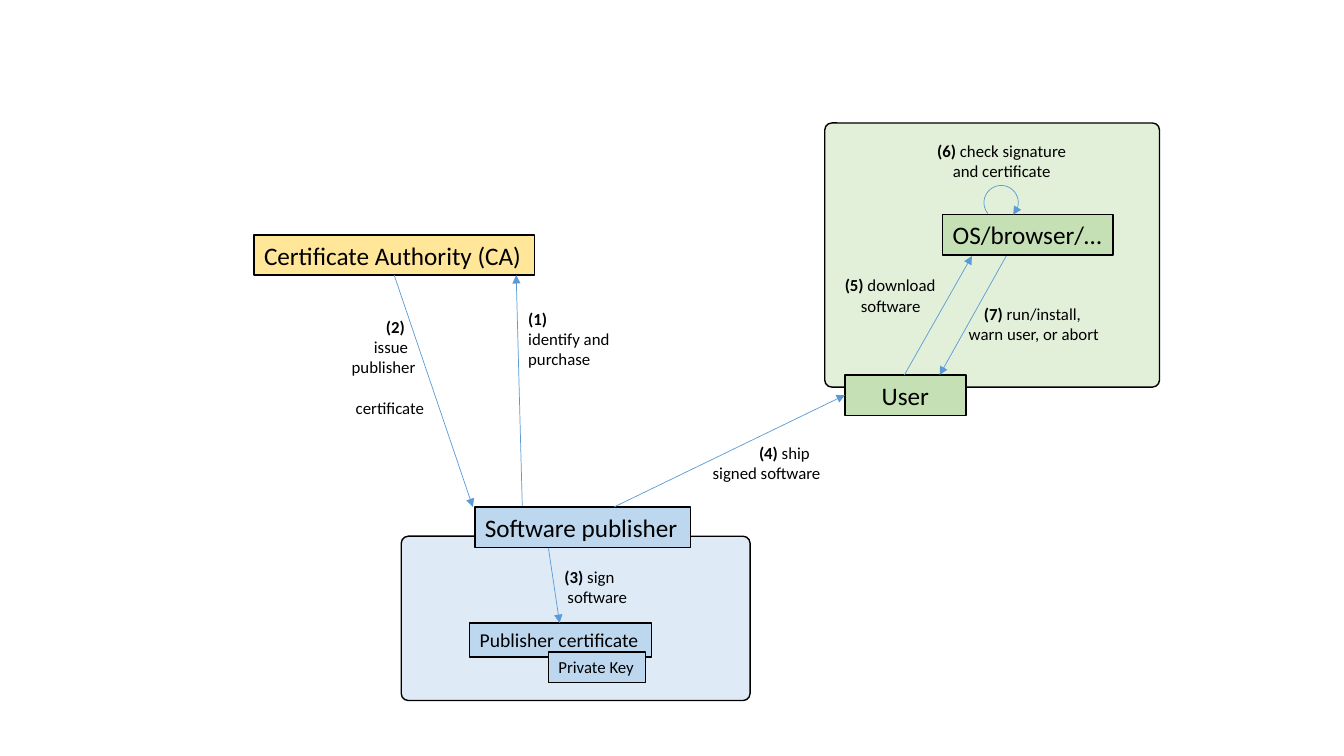
from math import cos, radians, sin

from lxml.etree import SubElement
from pptx import Presentation
from pptx.dml.color import RGBColor
from pptx.enum.shapes import MSO_CONNECTOR, MSO_SHAPE
from pptx.enum.text import MSO_ANCHOR, PP_ALIGN
from pptx.oxml.ns import qn
from pptx.util import Pt

PX = 9144
THEME = {
    "font": "Calibri",
    "ink": RGBColor(0x00, 0x00, 0x00),
    "arrow": RGBColor(0x5B, 0x9B, 0xD5),
    "authority": RGBColor(0xFF, 0xE6, 0x99),
    "publisher": RGBColor(0xBD, 0xD7, 0xEE),
    "publisher_area": RGBColor(0xDE, 0xEB, 0xF7),
    "user": RGBColor(0xC5, 0xE0, 0xB4),
    "user_area": RGBColor(0xE2, 0xF0, 0xD9),
    "party": Pt(18),
    "certificate": Pt(14),
    "small": Pt(12),
    "border": Pt(1),
    "flow": Pt(0.5),
}


def style_run(run, size, bold=False):
    run.font.name = THEME["font"]
    run.font.size = size
    run.font.bold = bold
    run.font.color.rgb = THEME["ink"]


def style_arrow(arrow):
    arrow.line.color.rgb = THEME["arrow"]
    arrow.line.width = THEME["flow"]
    properties = arrow._element.spPr
    SubElement(properties.find(qn("a:ln")), qn("a:tailEnd"), type="triangle")
    SubElement(properties, qn("a:effectLst"))


deck = Presentation()
deck.slide_width = 1333 * PX
deck.slide_height = 750 * PX
slide = deck.slides.add_slide(deck.slide_layouts[6])

areas = [
    ((818, 122, 332, 262), "user_area"),
    ((398, 532, 346, 163), "publisher_area"),
]
for place, colour in areas:
    area = slide.shapes.add_shape(MSO_SHAPE.ROUNDED_RECTANGLE, *(n * PX for n in place))
    area.adjustments[0] = 7 / min(place[2:])
    area.shadow.inherit = False
    area.fill.solid()
    area.fill.fore_color.rgb = THEME[colour]
    area.line.color.rgb = THEME["ink"]
    area.line.width = THEME["border"]

parties = [
    ("Certificate Authority (CA)", (252, 233, 278, 40), "authority", "party", PP_ALIGN.LEFT),
    ("Software publisher", (471, 503, 214, 40), "publisher", "party", PP_ALIGN.LEFT),
    ("User", (838, 372, 120, 40), "user", "party", PP_ALIGN.CENTER),
    ("OS/browser/…", (935, 213, 169, 40), "user", "party", PP_ALIGN.LEFT),
    ("Publisher certificate", (466, 618, 180, 34), "publisher", "certificate", PP_ALIGN.LEFT),
    ("Private Key", (544, 647, 96, 30), "publisher", "small", PP_ALIGN.LEFT),
]
for name, place, colour, size, alignment in parties:
    party = slide.shapes.add_shape(MSO_SHAPE.RECTANGLE, *(n * PX for n in place))
    party.shadow.inherit = False
    party.fill.solid()
    party.fill.fore_color.rgb = THEME[colour]
    party.line.color.rgb = THEME["ink"]
    party.line.width = THEME["border"]
    frame = party.text_frame
    frame.word_wrap = False
    frame.vertical_anchor = MSO_ANCHOR.MIDDLE
    frame.text = name
    frame.paragraphs[0].alignment = alignment
    style_run(frame.paragraphs[0].runs[0], THEME[size])

flows = [
    (518, 502, 512, 273),
    (391, 273, 469, 503),
    (544, 544, 555, 618),
    (609, 503, 838, 392),
    (897, 372, 964, 254),
    (998, 254, 932, 372),
]
for ends in flows:
    style_arrow(slide.shapes.add_connector(MSO_CONNECTOR.STRAIGHT, *(n * PX for n in ends)))

loop_x, loop_y, loop_radius = 993, 201, 17
loop = [
    (
        round((loop_x + loop_radius * cos(radians(angle))) * PX),
        round((loop_y + loop_radius * sin(radians(angle))) * PX),
    )
    for angle in range(140, 406, 5)
]
outline = slide.shapes.build_freeform(*loop[0])
outline.add_line_segments(loop[1:], close=False)
check_loop = outline.convert_to_shape()
check_loop.fill.background()
style_arrow(check_loop)

steps = [
    ((514, 301, 105, 71), PP_ALIGN.LEFT,
     [("(1)", "", 0, 0), ("", "identify and", 0, 0), ("", "purchase", 0, 0)]),
    ((338, 309, 92, 91), PP_ALIGN.LEFT,
     [("(2)", "", 35, 0), ("", "issue", 23, 0), ("", "publisher", 1, 0),
      ("", "certificate", 5, 14.6)]),
    ((550, 557, 92, 50), PP_ALIGN.LEFT,
     [("(3)", " sign", 0, 0), ("", "software", 3, 0)]),
    ((690, 434, 157, 50), PP_ALIGN.LEFT,
     [("(4)", " ship", 53, 0), ("", "signed software", 7, 0)]),
    ((799, 268, 140, 50), PP_ALIGN.LEFT,
     [("(5)", " download", 29, 0), ("", "software", 45, 0)]),
    ((915, 135, 157, 50), PP_ALIGN.CENTER,
     [("(6)", " check signature and certificate", 0, 0)]),
    ((951, 296, 157, 50), PP_ALIGN.LEFT,
     [("(7)", " run/install,", 15, 0), ("", "warn user, or abort", 0, 0)]),
]
for place, alignment, lines in steps:
    frame = slide.shapes.add_textbox(*(n * PX for n in place)).text_frame
    frame.word_wrap = True
    if alignment == PP_ALIGN.LEFT:
        frame.margin_right = 0
    for index, (number, action, indent, gap) in enumerate(lines):
        line = frame.add_paragraph() if index else frame.paragraphs[0]
        line.alignment = alignment
        if indent:
            line._p.get_or_add_pPr().set("marL", str(indent * PX))
        if gap:
            line.space_before = Pt(gap)
        for words, bold in ((number, True), (action, False)):
            if words:
                run = line.add_run()
                run.text = words
                style_run(run, THEME["small"], bold)

deck.save("out.pptx")
